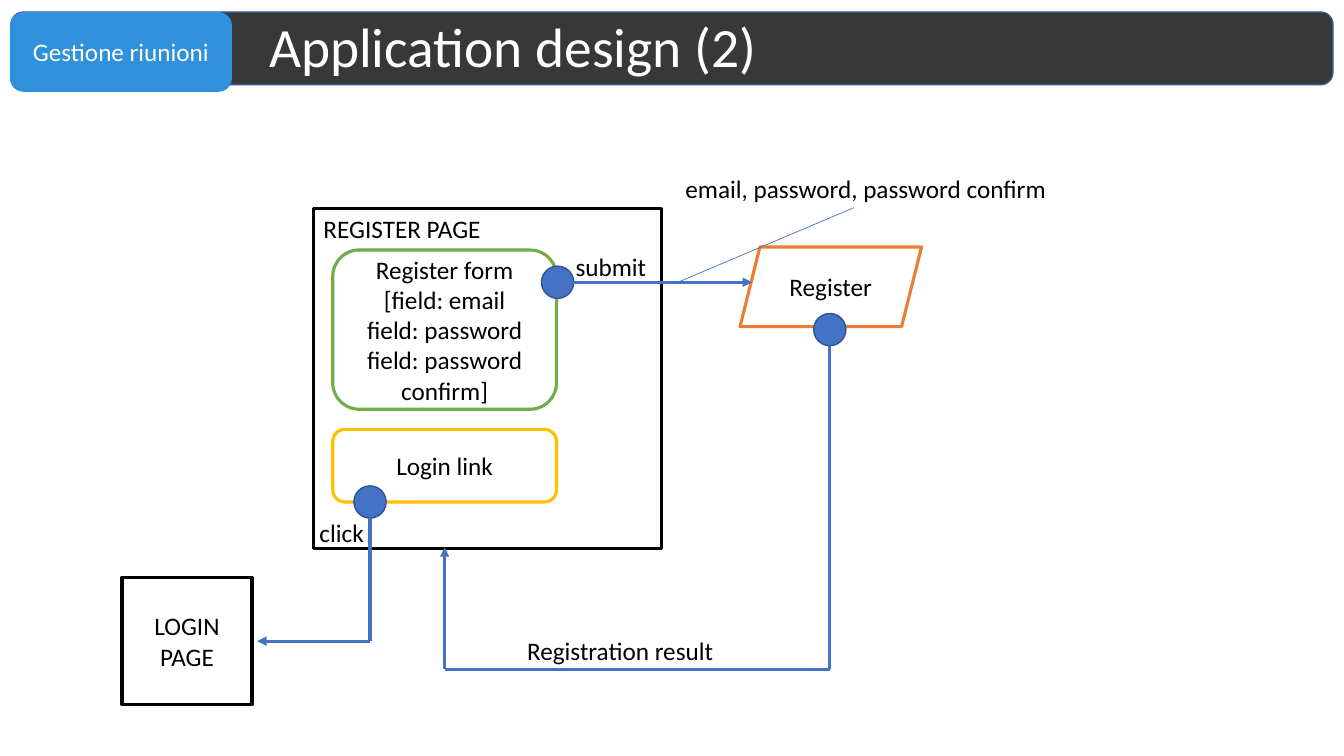
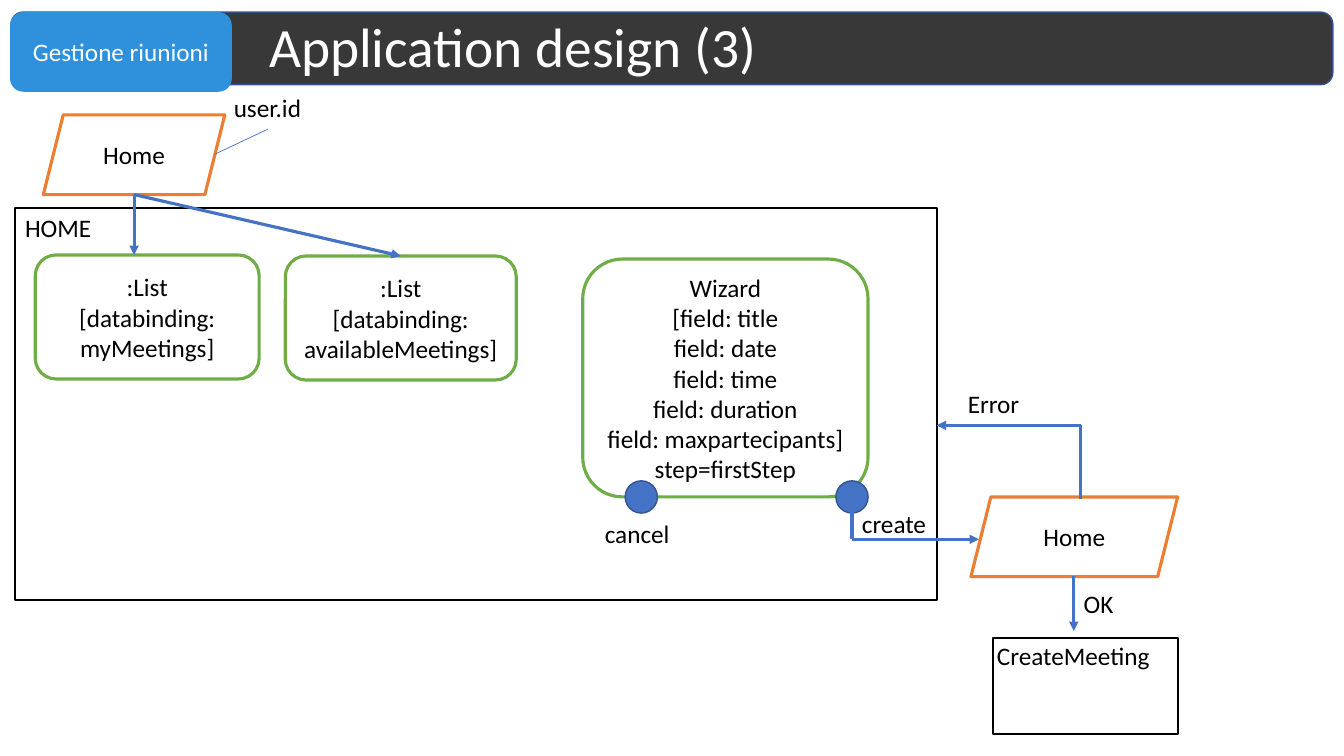
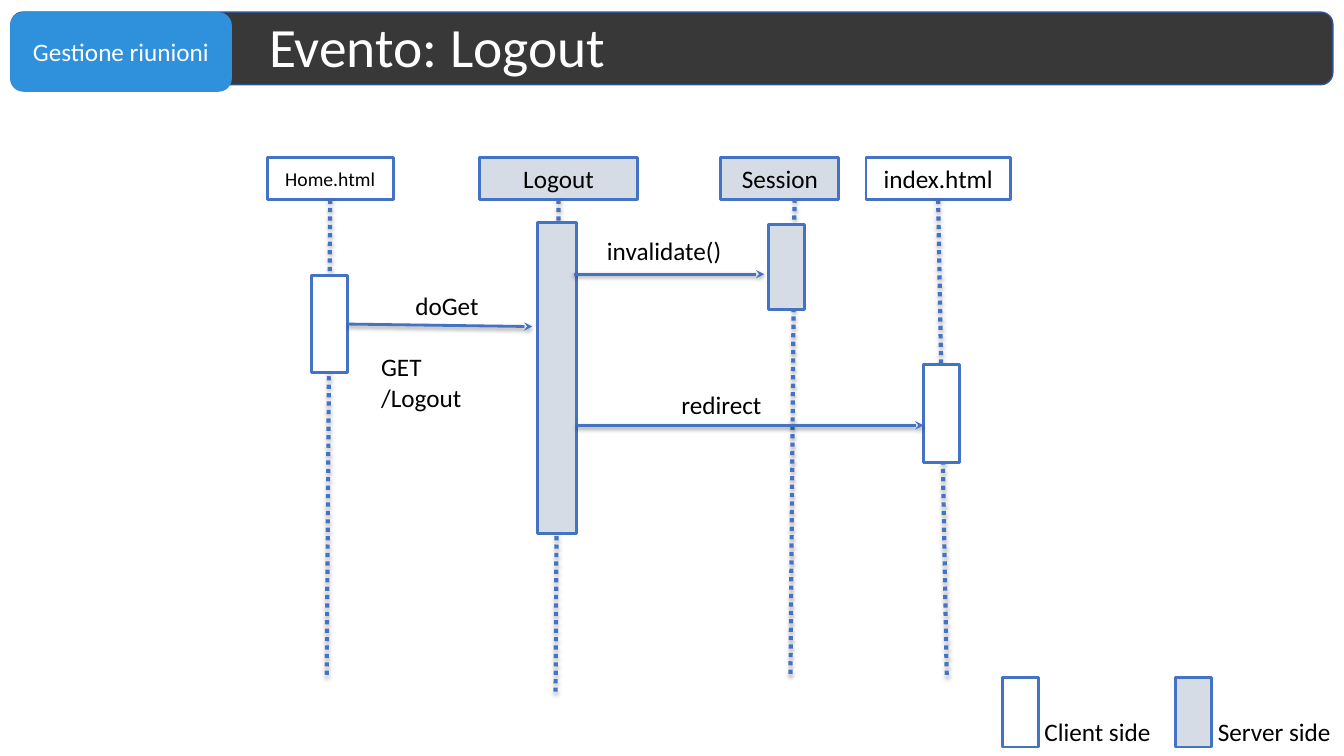
from lxml import etree
from pptx import Presentation
from pptx.dml.color import RGBColor
from pptx.enum.dml import MSO_LINE
from pptx.enum.shapes import MSO_CONNECTOR, MSO_SHAPE
from pptx.enum.text import MSO_ANCHOR, MSO_AUTO_SIZE, PP_ALIGN
from pptx.oxml.ns import qn
from pptx.util import Inches, Pt

# Slide and grid: 13 1/3 columns by 7 1/2 rows
SLIDE_WIDTH, SLIDE_HEIGHT = Inches(13.33), Inches(7.5)
COLUMN = SLIDE_WIDTH / 13.33
ROW = SLIDE_HEIGHT / 7.5

# Colours and type
FONT = "Calibri"
WHITE = RGBColor(0xFF, 0xFF, 0xFF)
BLACK = RGBColor(0x00, 0x00, 0x00)
BAND = RGBColor(0x38, 0x38, 0x38)
TAB = RGBColor(0x2F, 0x90, 0xDB)
BLUE = RGBColor(0x44, 0x72, 0xC4)
DARK_BLUE = RGBColor(0x32, 0x54, 0x91)
GREEN = RGBColor(0x70, 0xAD, 0x47)
ORANGE = RGBColor(0xED, 0x7D, 0x31)
GOLD = RGBColor(0xFF, 0xC0, 0x00)
SERVER = RGBColor(0xD6, 0xDC, 0xE5)

# Sequence diagram
WIDE_INSETS = (0.12, 0.06)
BAR_WIDTH = 0.36
TOP, RIGHT, BOTTOM = 0, 3, 2


def place(left, top, width, height):
    return (round(left * COLUMN), round(top * ROW),
            round(width * COLUMN), round(height * ROW))


def write(shape, lines, size=18, color=BLACK, align=PP_ALIGN.CENTER,
          anchor=MSO_ANCHOR.MIDDLE, insets=None, spacing=None):
    frame = shape.text_frame
    frame.word_wrap = True
    frame.vertical_anchor = anchor
    if insets:
        frame.margin_left = frame.margin_right = round(insets[0] * COLUMN)
        frame.margin_top = frame.margin_bottom = round(insets[1] * ROW)
    for index, line in enumerate(lines):
        paragraph = frame.add_paragraph() if index else frame.paragraphs[0]
        paragraph.text = line
        paragraph.alignment = align
        paragraph.line_spacing = spacing
        paragraph.font.name = FONT
        paragraph.font.size = Pt(size)
        paragraph.font.color.rgb = color


def add_box(slide, kind, area, lines=(), outline=BLACK, weight=2.25,
            fill=WHITE, **text_style):
    shape = slide.shapes.add_shape(kind, *place(*area))
    shape.shadow.inherit = False
    shape.fill.solid()
    shape.fill.fore_color.rgb = fill
    if outline is None:
        shape.line.fill.background()
    else:
        shape.line.color.rgb = outline
        shape.line.width = Pt(weight)
    write(shape, lines, **text_style)
    return shape


def add_label(slide, left, top, width, text):
    """One line of text that does not wrap."""
    label = slide.shapes.add_textbox(*place(left, top, width, 0.4))
    write(label, [text], align=PP_ALIGN.LEFT, anchor=MSO_ANCHOR.TOP)
    label.text_frame.word_wrap = False
    label.text_frame.auto_size = MSO_AUTO_SIZE.SHAPE_TO_FIT_TEXT


def add_message(slide, area, lines, align=PP_ALIGN.LEFT):
    message = slide.shapes.add_textbox(*place(*area))
    write(message, lines, align=align, anchor=MSO_ANCHOR.TOP, insets=WIDE_INSETS)


def add_line(slide, start, end, weight=2.25, head=None, shadow=None):
    line = slide.shapes.add_connector(
        MSO_CONNECTOR.STRAIGHT, *place(*start, *end))
    line.line.color.rgb = BLUE
    line.line.width = Pt(weight)
    if head:
        etree.SubElement(line.line._get_or_add_ln(), qn("a:tailEnd"), type=head)
    effects = etree.SubElement(line._element.spPr, qn("a:effectLst"))
    if shadow:
        distance, opacity = shadow
        outer = etree.SubElement(
            effects, qn("a:outerShdw"), blurRad=str(Pt(3.1)),
            dist=str(Pt(distance)), dir="5400000", rotWithShape="0")
        color = etree.SubElement(outer, qn("a:srgbClr"), val=str(BLACK))
        etree.SubElement(color, qn("a:alpha"), val=str(opacity * 1000))
    return line


def add_route(slide, *points):
    """Straight segments through the points, with an arrowhead at the last."""
    for start, end in zip(points, points[1:]):
        add_line(slide, start, end, head="triangle" if end == points[-1] else None)


def add_event(slide, x, y, size=0.32):
    add_box(slide, MSO_SHAPE.OVAL, (x - size / 2, y - size / 2, size, size),
            outline=DARK_BLUE, weight=1, fill=BLUE)


def add_action(slide, area, name):
    add_box(slide, MSO_SHAPE.PARALLELOGRAM, area, [name], outline=ORANGE)


def add_component(slide, area, lines, outline=GREEN):
    return add_box(slide, MSO_SHAPE.ROUNDED_RECTANGLE, area, lines, outline=outline)


def add_participant(slide, left, width, name, fill, size=18):
    return add_box(slide, MSO_SHAPE.RECTANGLE, (left, 1.56, width, 0.42), [name],
                   outline=BLUE, weight=2, fill=fill, size=size, insets=WIDE_INSETS)


def add_lifeline(slide, start, end, participant=None):
    line = add_line(slide, start, end, weight=3, shadow=(1.8, 35))
    line.line.dash_style = MSO_LINE.ROUND_DOT
    if participant:
        line.begin_connect(participant, BOTTOM)


def add_bar(slide, left, top, height, fill, width=BAR_WIDTH):
    return add_box(slide, MSO_SHAPE.RECTANGLE, (left, top, width, height),
                   outline=BLUE, weight=2, fill=fill)


def add_call(slide, start, end):
    return add_line(slide, start, end, weight=2, head="stealth", shadow=(1.6, 38))


def start_slide(presentation, title):
    """Blank slide with the title band and the project tab."""
    slide = presentation.slides.add_slide(presentation.slide_layouts[6])
    add_box(slide, MSO_SHAPE.ROUNDED_RECTANGLE, (0.11, 0.12, 13.11, 0.72),
            outline=DARK_BLUE, weight=1, fill=BAND)
    add_box(slide, MSO_SHAPE.ROUNDED_RECTANGLE, (0.1, 0.12, 2.2, 0.79),
            ["Gestione riunioni"], outline=None, fill=TAB, color=WHITE)
    heading = slide.shapes.add_textbox(*place(2.57, 0.12, 10.63, 0.74))
    write(heading, [title], size=39.6, color=WHITE, align=PP_ALIGN.LEFT, spacing=0.9)
    return slide


def build_register(presentation):
    slide = start_slide(presentation, "Application design (2)")

    # Pages and their components
    add_box(slide, MSO_SHAPE.RECTANGLE, (3.11, 2.07, 3.45, 3.37))
    add_label(slide, 3.11, 2.07, 1.77, "REGISTER PAGE")
    add_component(slide, (3.3, 2.48, 2.22, 1.58),
                  ["Register form", "[field: email", "field: password",
                   "field: password confirm]"])
    add_component(slide, (3.3, 4.26, 2.22, 0.72), ["Login link"], outline=GOLD)
    add_box(slide, MSO_SHAPE.RECTANGLE, (1.21, 5.73, 1.29, 1.26), ["LOGIN", "PAGE"])

    # Submit and its parameters
    add_action(slide, (7.34, 2.45, 1.8, 0.79), "Register")
    add_event(slide, 5.53, 2.8)
    add_route(slide, (5.68, 2.8), (7.46, 2.8))
    add_label(slide, 5.61, 2.44, 0.91, "submit")
    add_label(slide, 6.7, 1.67, 3.82, "email, password, password confirm")
    add_line(slide, (8.47, 2.06), (6.7, 2.81), weight=0.5)

    # Result returned to the page
    add_event(slide, 8.23, 3.27)
    add_route(slide, (8.23, 3.43), (8.23, 6.64), (4.41, 6.64), (4.41, 5.43))
    add_label(slide, 5.13, 6.25, 2.07, "Registration result")

    # Link to the login page
    add_event(slide, 3.67, 4.98)
    add_route(slide, (3.67, 5.14), (3.67, 6.36), (2.55, 6.36))
    add_label(slide, 3.07, 5.08, 0.65, "click")


def build_home(presentation):
    slide = start_slide(presentation, "Application design (3)")

    # Home page and its components
    add_box(slide, MSO_SHAPE.RECTANGLE, (0.15, 2.06, 9.14, 3.89), weight=1.5)
    add_label(slide, 0.15, 2.06, 0.86, "HOME")
    add_component(slide, (0.35, 2.53, 2.22, 1.23),
                  [":List", "[databinding: myMeetings]"])
    available = add_component(slide, (2.83, 2.54, 2.29, 1.23),
                              [":List", "[databinding: availableMeetings]"])
    add_component(slide, (5.78, 2.57, 2.83, 2.36),
                  ["Wizard", "[field: title", "field: date", "field: time",
                   "field: duration", "field: maxpartecipants]", "step=firstStep"])

    # Loading the lists
    add_action(slide, (0.43, 1.14, 1.8, 0.79), "Home")
    add_label(slide, 2.22, 0.87, 0.88, "user.id")
    add_line(slide, (2.66, 1.28), (2.13, 1.53), weight=0.5)
    add_route(slide, (1.33, 1.93), (1.33, 2.53))
    load = add_line(slide, (1.33, 1.93), (3.98, 2.54), head="triangle")
    load.end_connect(available, TOP)

    # Wizard events
    add_event(slide, 6.36, 4.93)
    add_label(slide, 5.9, 5.09, 0.85, "cancel")
    add_event(slide, 8.45, 4.93)
    add_route(slide, (8.45, 5.08), (8.45, 5.35), (9.71, 5.35))
    add_label(slide, 8.45, 4.99, 0.85, "create")

    # Outcomes of the creation
    add_action(slide, (9.63, 4.93, 2.05, 0.79), "Home")
    add_route(slide, (10.72, 4.95), (10.72, 4.22), (9.29, 4.22))
    add_label(slide, 9.5, 3.8, 0.72, "Error")
    add_route(slide, (10.65, 5.71), (10.65, 6.26))
    add_label(slide, 10.65, 5.79, 0.5, "OK")
    add_box(slide, MSO_SHAPE.RECTANGLE, (9.85, 6.33, 1.83, 0.95), weight=1.5)
    add_label(slide, 9.79, 6.3, 1.73, "CreateMeeting")


def build_logout(presentation):
    slide = start_slide(presentation, "Evento: Logout")

    # Participants and lifelines
    home = add_participant(slide, 2.65, 1.25, "Home.html", WHITE, size=14)
    logout = add_participant(slide, 4.76, 1.56, "Logout", SERVER)
    add_participant(slide, 7.15, 1.17, "Session", SERVER)
    index = add_participant(slide, 8.59, 1.43, "index.html", WHITE)
    add_lifeline(slide, (3.27, 1.97), (3.24, 6.72), home)
    add_lifeline(slide, (5.54, 1.97), (5.51, 6.88), logout)
    add_lifeline(slide, (7.88, 1.97), (7.84, 6.72))
    add_lifeline(slide, (9.3, 1.97), (9.39, 6.72), index)

    # Activation bars
    home_bar = add_bar(slide, 3.09, 2.73, 0.97, WHITE)
    add_bar(slide, 5.33, 2.21, 3.08, SERVER, width=0.39)
    add_bar(slide, 7.62, 2.23, 0.84, SERVER)
    add_bar(slide, 9.16, 3.62, 0.97, WHITE)

    # Calls
    request = add_call(slide, (3.45, 3.21), (5.28, 3.24))
    request.begin_connect(home_bar, RIGHT)
    add_call(slide, (5.69, 2.72), (7.58, 2.72))
    add_call(slide, (5.72, 4.22), (9.16, 4.22))
    add_message(slide, (4, 2.82, 1.24, 0.4), ["doGet"])
    add_message(slide, (3.66, 3.43, 1.37, 0.75), ["GET", "/Logout"])
    add_message(slide, (5.9, 2.27, 1.9, 0.34), ["invalidate()"])
    add_message(slide, (5.9, 3.8, 2.51, 0.37), ["redirect"], align=PP_ALIGN.CENTER)

    # Legend
    for left, name, fill in ((9.94, "Client side", WHITE), (11.66, "Server side", SERVER)):
        add_bar(slide, left, 6.72, 0.69, fill)
        add_label(slide, left + 0.32, 7.06, 1.35, name)


def main():
    presentation = Presentation()
    presentation.slide_width = SLIDE_WIDTH
    presentation.slide_height = SLIDE_HEIGHT
    build_register(presentation)
    build_home(presentation)
    build_logout(presentation)
    presentation.save("out.pptx")


if __name__ == "__main__":
    main()
